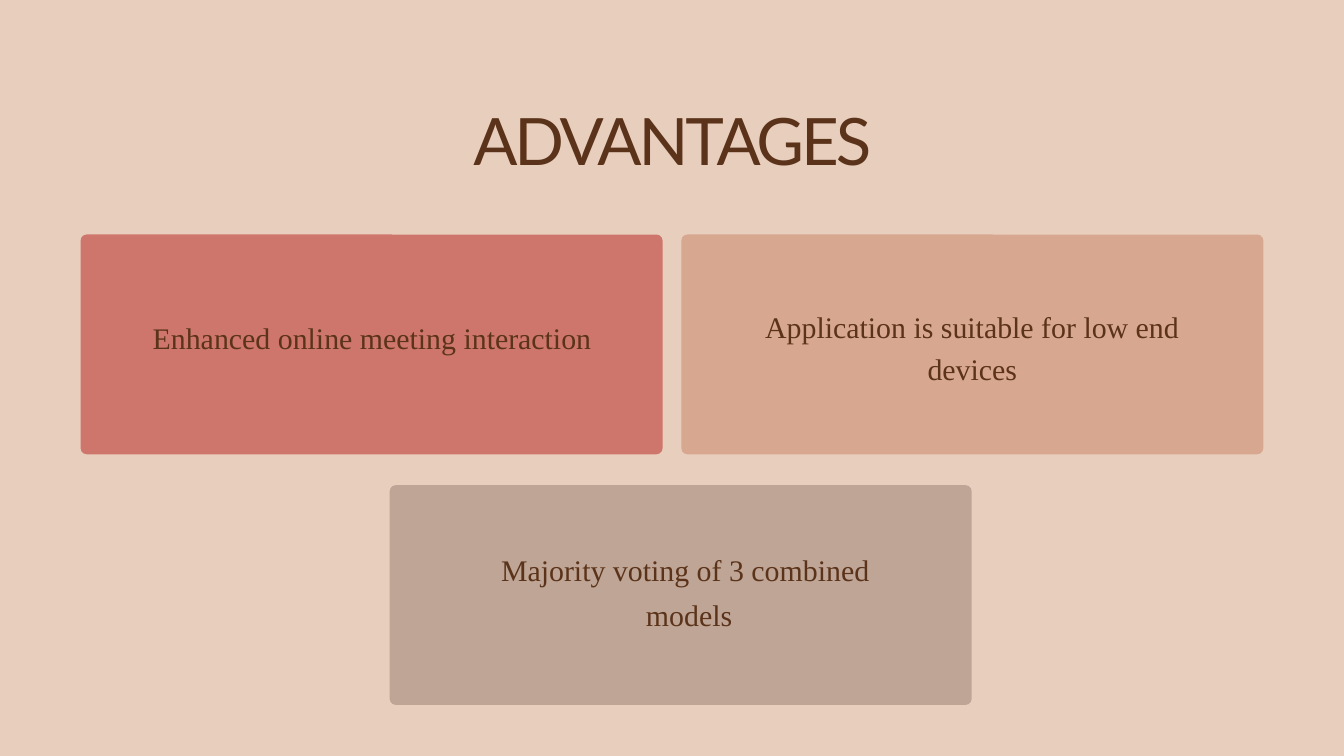
from dataclasses import dataclass

from pptx import Presentation
from pptx.dml.color import RGBColor
from pptx.enum.shapes import MSO_SHAPE as Shape
from pptx.enum.text import MSO_ANCHOR as Anchor, MSO_AUTO_SIZE as AutoSize, PP_ALIGN as Align
from pptx.util import Inches, Pt

SAND = RGBColor(0xE8, 0xCE, 0xBD)
BROWN = RGBColor(0x5B, 0x33, 0x1A)
CORAL = RGBColor(0xCE, 0x76, 0x6B)
PEACH = RGBColor(0xD8, 0xA7, 0x90)
TAUPE = RGBColor(0xBE, 0xA5, 0x95)

COLUMNS, ROWS = 20, 11.25
CARD_WIDTH, CARD_HEIGHT = 8.66, 3.27
COLUMN_GAP, ROW_GAP = 0.28, 0.46
GRID_LEFT, GRID_TOP = 1.2, 3.49
CORNER = 0.09


@dataclass
class Box:
    """An area in grid columns and rows, each one inch."""
    left: float
    top: float
    width: float
    height: float

    def inside(self, left, top, width, height):
        """Return an area measured from this one's corner."""
        return Box(self.left + left, self.top + top, width, height)

    def place(self):
        """Return left, top, width and height as lengths."""
        return [Inches(n) for n in (self.left, self.top, self.width, self.height)]


def write_text(shape, lines, *, size, leading, font="Times New Roman", spacing=0):
    """Fill a shape with centred lines, one paragraph each."""
    frame = shape.text_frame
    frame.word_wrap = True
    frame.auto_size = AutoSize.NONE
    frame.vertical_anchor = Anchor.TOP
    frame.margin_left = frame.margin_right = frame.margin_top = frame.margin_bottom = 0
    for index, line in enumerate(lines):
        para = frame.paragraphs[0] if index == 0 else frame.add_paragraph()
        para.alignment = Align.CENTER
        para.line_spacing = Pt(leading)
        para.space_before = para.space_after = Pt(0)
        span = para.add_run()
        span.text = line
        span.font.name = font
        span.font.size = Pt(size)
        span.font.color.rgb = BROWN
        if spacing:
            span.font._element.set("spc", str(round(spacing * 100)))


def add_title(page, box, text):
    """Place and format the title placeholder."""
    title = page.shapes.title
    title.left, title.top, title.width, title.height = box.place()
    write_text(title, [text], size=70, leading=75.6, font="Lato", spacing=-3.2)


def add_card(page, box, color, lines, caption, leading=44.8):
    """Draw a rounded card and its caption."""
    card = page.shapes.add_shape(Shape.ROUNDED_RECTANGLE, *box.place())
    card.adjustments[0] = CORNER / box.height
    card.shadow.inherit = False
    card.fill.solid()
    card.fill.fore_color.rgb = color
    card.line.fill.background()
    label = page.shapes.add_textbox(*box.inside(*caption).place())
    write_text(label, lines, size=32, leading=leading)


def add_advantages(page, box):
    """Set two cards side by side and a third one below."""
    size = CARD_WIDTH, CARD_HEIGHT
    first = box.inside(0, 0, *size)
    second = box.inside(CARD_WIDTH + COLUMN_GAP, 0, *size)
    third = box.inside(4.6, CARD_HEIGHT + ROW_GAP, *size)
    add_card(page, first, CORAL, ["Enhanced online meeting interaction"],
             (0.69, 1.18, 7.3, 0.66))
    add_card(page, second, PEACH, ["Application is suitable for low end devices"],
             (0.68, 1.01, 7.3, 1.28))
    add_card(page, third, TAUPE, ["Majority voting of 3 combined", " models"],
             (0, 0.86, 8.8, 1.38), leading=48)


def main():
    """Build and save the deck."""
    deck = Presentation()
    deck.slide_width, deck.slide_height = Inches(COLUMNS), Inches(ROWS)
    page = deck.slides.add_slide(deck.slide_layouts.get_by_name("Title Only"))
    page.background.fill.solid()
    page.background.fill.fore_color.rgb = SAND
    add_title(page, Box(3.79, 1.6, 12.43, 1.08), "ADVANTAGES")
    add_advantages(page, Box(GRID_LEFT, GRID_TOP, COLUMNS - 2 * GRID_LEFT,
                             2 * CARD_HEIGHT + ROW_GAP))
    deck.save("out.pptx")


if __name__ == "__main__":
    main()
